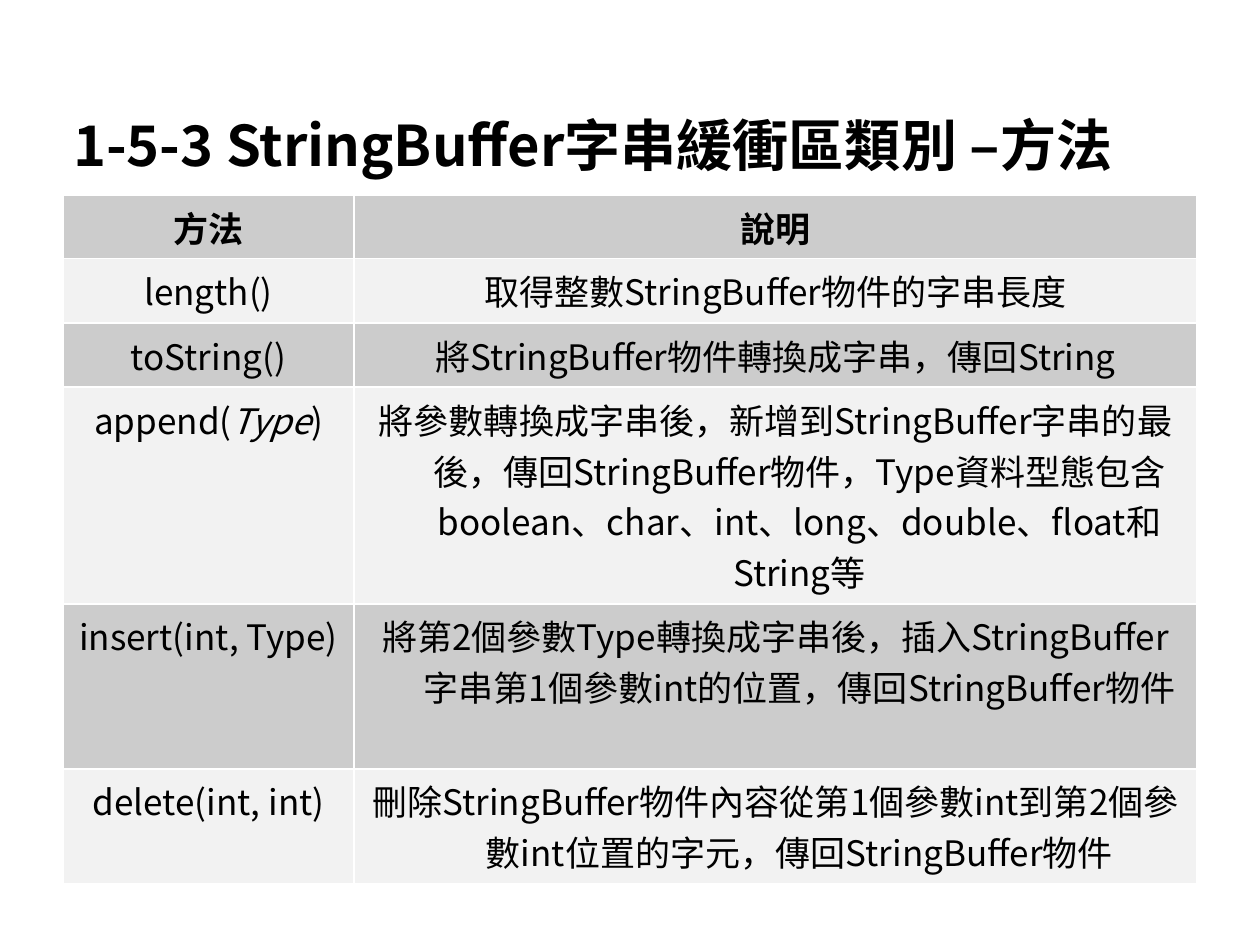
from lxml.etree import SubElement
from pptx import Presentation
from pptx.dml.color import RGBColor
from pptx.enum.text import MSO_ANCHOR, PP_ALIGN
from pptx.oxml.ns import qn
from pptx.util import Inches, Pt

FONT = "Noto Sans CJK SC"
BLACK = RGBColor(0, 0, 0)
WHITE = RGBColor(0xFF, 0xFF, 0xFF)
DARK = RGBColor(0xCC, 0xCC, 0xCC)
LIGHT = RGBColor(0xF2, 0xF2, 0xF2)

COLUMN_WIDTHS = (2.31, 6.69)
ROW_HEIGHTS = (0.5, 0.51, 0.51, 1.72, 1.31, 0.91)
# A cell is a list of (text, italic) runs or a plain string.
ROWS = [
    ("方法", "說明"),
    ("length()", "取得整數StringBuffer物件的字串長度"),
    ("toString()", "將StringBuffer物件轉換成字串，傳回String"),
    ([("append(", False), ("Type", True), (")", False)],
     "將參數轉換成字串後，新增到StringBuffer字串的最後，傳回StringBuffer物件，"
     "Type資料型態包含boolean、char、int、long、double、float和String等"),
    ("insert(int, Type)",
     "將第2個參數Type轉換成字串後，插入StringBuffer字串第1個參數int的位置，"
     "傳回StringBuffer物件"),
    ("delete(int, int)",
     "刪除StringBuffer物件內容從第1個參數int到第2個參數int位置的字元，"
     "傳回StringBuffer物件"),
]


def style_paragraph(p, size, bold, align):
    p.alignment = align
    font = p.font
    font.size, font.bold, font.name = Pt(size), bold, FONT
    font.color.rgb = BLACK
    # East Asian text takes its typeface from a separate element.
    SubElement(p._p.pPr.find(qn("a:defRPr")), qn("a:ea"), typeface=FONT)


def add_borders(cell, sides):
    """Draw thin white lines; call before the cell is filled."""
    tc_pr = cell._tc.get_or_add_tcPr()
    for side in sides:
        ln = SubElement(tc_pr, qn(f"a:ln{side}"), w=str(Pt(0.96)))
        fill = SubElement(ln, qn("a:solidFill"))
        SubElement(fill, qn("a:srgbClr"), val=str(WHITE))


def set_title(s, text):
    title = s.shapes.title
    title.left, title.top = Inches(0.48), Inches(0.64)
    title.width, title.height = Inches(9.23), Inches(0.82)
    tf = title.text_frame
    tf.text = text
    tf.vertical_anchor = MSO_ANCHOR.BOTTOM
    style_paragraph(tf.paragraphs[0], 32, True, PP_ALIGN.LEFT)


def fill_cell(cell, content, color, bold):
    p = cell.text_frame.paragraphs[0]
    if isinstance(content, str):
        p.text = content
    else:
        for text, italic in content:
            r = p.add_run()
            r.text = text
            r.font.italic = italic
    p_pr = p._p.get_or_add_pPr()
    p_pr.set("marL", str(Inches(0.38)))
    p_pr.set("indent", str(Inches(-0.38)))
    style_paragraph(p, 20, bold, PP_ALIGN.CENTER)
    cell.fill.solid()
    cell.fill.fore_color.rgb = color


def add_method_table(s):
    table = s.shapes.add_table(
        len(ROWS), len(COLUMN_WIDTHS),
        Inches(0.5), Inches(1.55), Inches(9), Inches(5.2)).table
    for column, width in zip(table.columns, COLUMN_WIDTHS):
        column.width = Inches(width)
    for i, (row, height) in enumerate(zip(ROWS, ROW_HEIGHTS)):
        table.rows[i].height = Inches(height)
        for j, content in enumerate(row):
            cell = table.cell(i, j)
            inner_side = "R" if j == 0 else "L"
            top = "T" if i > 0 else ""
            bottom = "B" if i < len(ROWS) - 1 else ""
            add_borders(cell, inner_side + top + bottom)
            fill_cell(cell, content, LIGHT if i % 2 else DARK, i == 0)


def main():
    prs = Presentation()
    prs.slide_width, prs.slide_height = Inches(10), Inches(7.5)
    s = prs.slides.add_slide(prs.slide_layouts[5])
    set_title(s, "1-5-3 StringBuffer字串緩衝區類別 –方法")
    add_method_table(s)
    prs.save("out.pptx")


if __name__ == "__main__":
    main()
